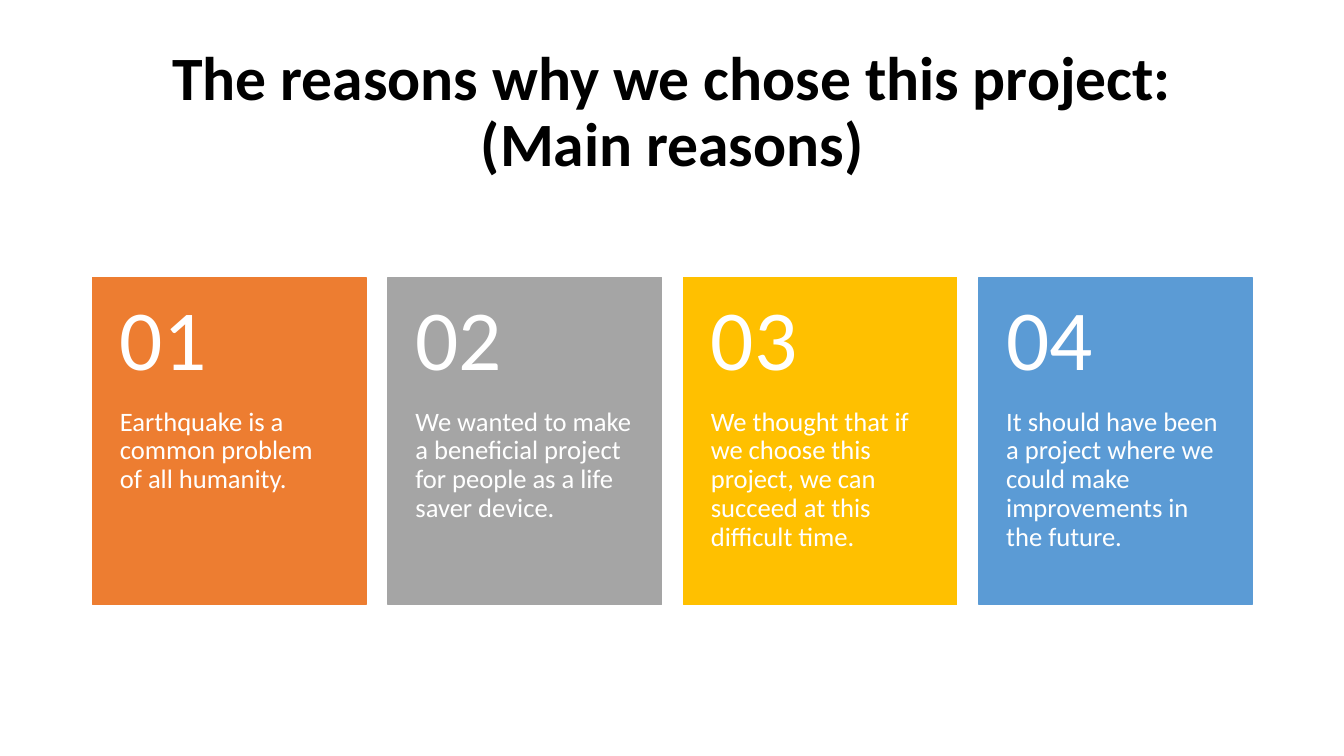
from pptx import Presentation
from pptx.dml.color import RGBColor
from pptx.enum.shapes import MSO_SHAPE as Shape
from pptx.enum.text import MSO_ANCHOR as Anchor, MSO_AUTO_SIZE as AutoSize, PP_ALIGN as Align
from pptx.util import Pt

EMU_PER_PX = 9144  # 100 px to the inch
SLIDE_SIZE = (1333, 750)
TITLE_ONLY = 5

BLACK = RGBColor(0x00, 0x00, 0x00)
WHITE = RGBColor(0xFF, 0xFF, 0xFF)
ORANGE = RGBColor(0xED, 0x7D, 0x31)
GRAY = RGBColor(0xA5, 0xA5, 0xA5)
GOLD = RGBColor(0xFF, 0xC0, 0x00)
BLUE = RGBColor(0x5B, 0x9B, 0xD5)

CARD_LEFT, CARD_TOP, CARD_WIDTH, CARD_HEIGHT = 92, 275, 271, 325
CARD_PITCH = 293
NUMBER_HEIGHT = 130

REASONS = [
    (ORANGE, "Earthquake is a common problem of all humanity."),
    (GRAY, "We wanted to make a beneficial project for people as a life saver device."),
    (GOLD, "We thought that if we choose this project, we can succeed at this difficult time."),
    (BLUE, "It should have been a project where we could make improvements in the future."),
]


def px(*lengths):
    """Turn px lengths into a list of EMU."""
    return [length * EMU_PER_PX for length in lengths]


class ReasonsSlide:
    font_name = "Calibri"
    line_spacing = 0.9

    def __init__(self, presentation):
        layout = presentation.slide_layouts[TITLE_ONLY]
        self.slide = presentation.slides.add_slide(layout)
        self.cards = self.slide.shapes.add_group_shape().shapes

    def set_text(self, frame, text, size, color, anchor, align, bold=False):
        frame.word_wrap = True
        frame.auto_size = AutoSize.NONE
        frame.vertical_anchor = anchor
        paragraph = frame.paragraphs[0]
        paragraph.text = text
        paragraph.alignment = align
        paragraph.line_spacing = self.line_spacing
        for run in paragraph.runs:
            run.font.name = self.font_name
            run.font.size = Pt(size)
            run.font.bold = bold
            run.font.color.rgb = color

    def title(self, text, box):
        heading = self.slide.shapes.title
        heading.left, heading.top, heading.width, heading.height = px(*box)
        self.set_text(heading.text_frame, text, 44, BLACK, Anchor.MIDDLE, Align.CENTER, bold=True)

    def panel(self, box, color):
        panel = self.cards.add_shape(Shape.RECTANGLE, *px(*box))
        panel.shadow.inherit = False
        panel.fill.solid()
        panel.fill.fore_color.rgb = color
        panel.line.color.rgb = color
        panel.line.width = Pt(1)

    def label(self, text, box, size, anchor, insets):
        frame = self.cards.add_textbox(*px(*box)).text_frame
        (frame.margin_left, frame.margin_top,
         frame.margin_right, frame.margin_bottom) = px(*insets)
        self.set_text(frame, text, size, WHITE, anchor, Align.LEFT)

    def card(self, index, color, reason):
        left = CARD_LEFT + index * CARD_PITCH
        reason_top = CARD_TOP + NUMBER_HEIGHT
        reason_height = CARD_HEIGHT - NUMBER_HEIGHT
        self.panel((left, CARD_TOP, CARD_WIDTH, CARD_HEIGHT), color)
        self.label(reason, (left, reason_top, CARD_WIDTH, reason_height),
                   19, Anchor.TOP, (27, 0, 27, 36))
        self.label(f"{index + 1:02}", (left, CARD_TOP, CARD_WIDTH, NUMBER_HEIGHT),
                   61, Anchor.MIDDLE, (27, 18, 27, 18))


def main():
    presentation = Presentation()
    presentation.slide_width, presentation.slide_height = px(*SLIDE_SIZE)
    slide = ReasonsSlide(presentation)
    slide.title("The reasons why we chose this project:\n(Main reasons)", (92, 40, 1150, 145))
    for index, (color, reason) in enumerate(REASONS):
        slide.card(index, color, reason)
    presentation.save("out.pptx")


if __name__ == "__main__":
    main()
